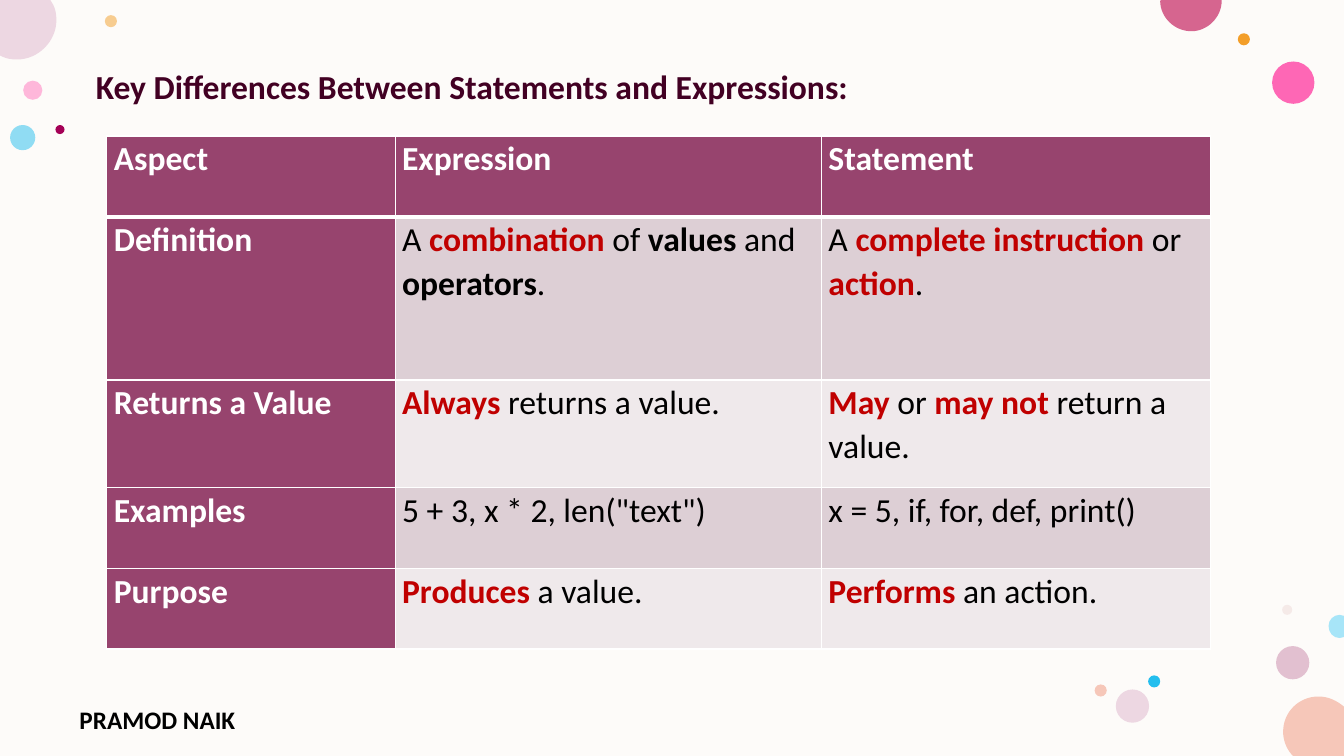
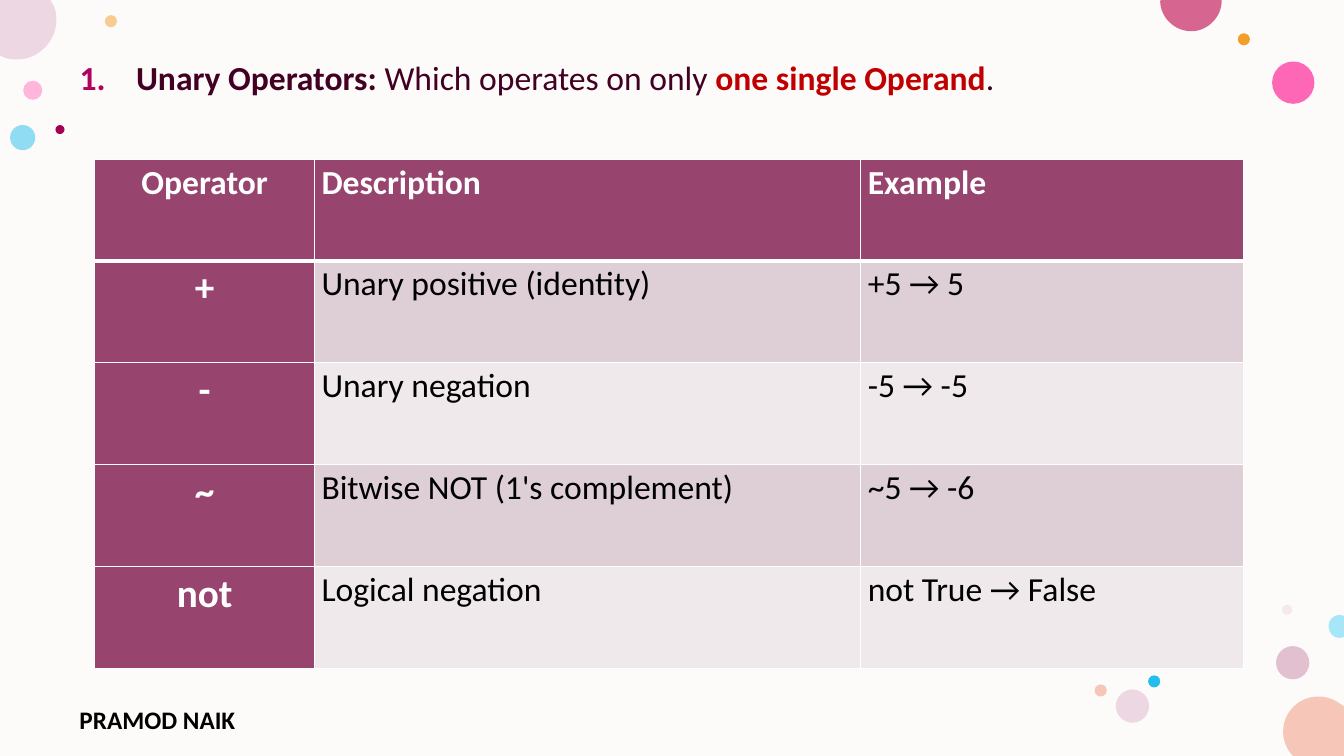
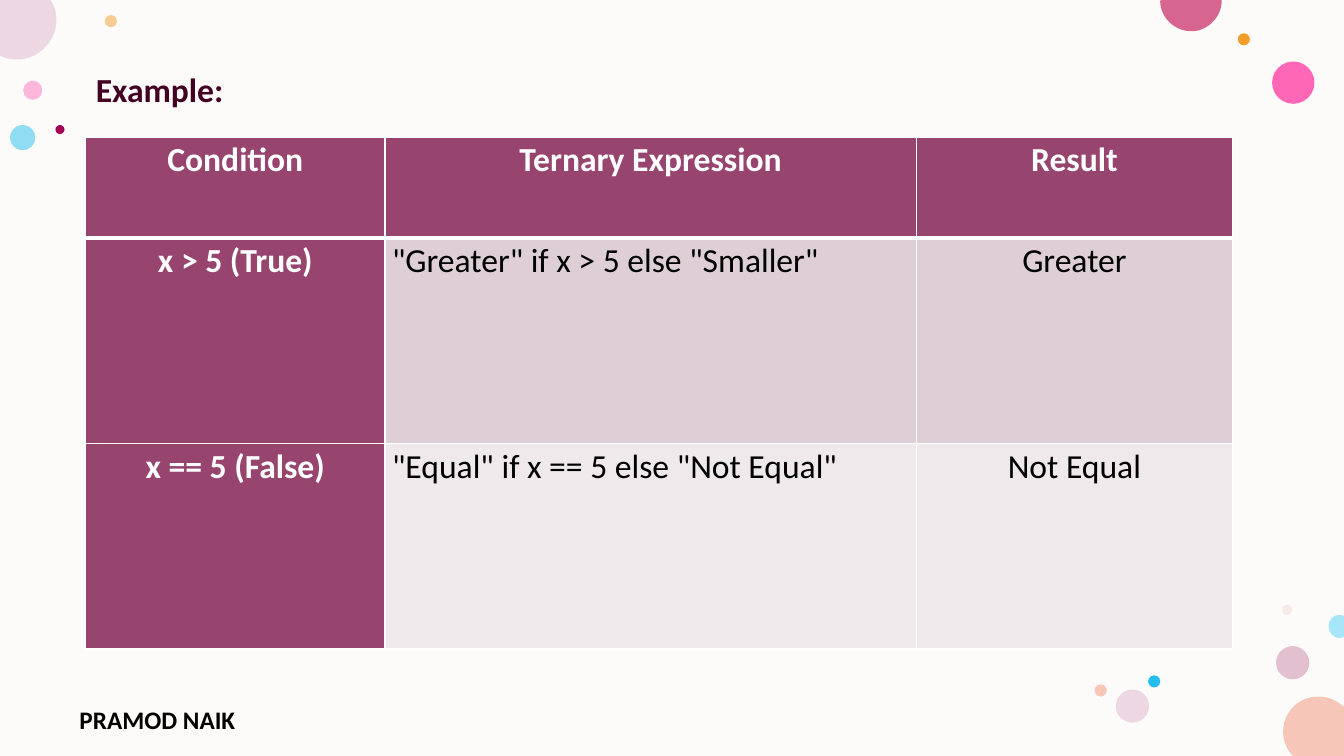
from lxml import etree
from pptx import Presentation
from pptx.dml.color import RGBColor
from pptx.enum import shapes, text
from pptx.oxml import ns
from pptx.util import Inches, Pt

SLIDE_W, SLIDE_H = 40 / 3, 7.5
FONT = "Calibri"
AUTHOR = "PRAMOD NAIK"

PAPER = RGBColor(0xFD, 0xFB, 0xF9)
INK = RGBColor(0x42, 0x00, 0x23)
NUMBER = RGBColor(0xB1, 0x00, 0x5E)
RED = RGBColor(0xC0, 0x00, 0x00)
BLACK = RGBColor(0x00, 0x00, 0x00)
WHITE = RGBColor(0xFF, 0xFF, 0xFF)
PLUM = RGBColor(0x97, 0x44, 0x6E)
BANDS = RGBColor(0xDD, 0xCF, 0xD5), RGBColor(0xEF, 0xE9, 0xEB)
PINK = RGBColor(0xFF, 0x75, 0xBD)
HOT_PINK = RGBColor(0xFF, 0x2F, 0x9C)
ORANGE = RGBColor(0xF3, 0x9E, 0x29)
MAUVE = RGBColor(0xC9, 0x87, 0xA8)
BLUE = RGBColor(0x24, 0xBE, 0xEE)
PALE_BLUE = RGBColor(0xA7, 0xE5, 0xF8)
DUSTY = RGBColor(0xE3, 0xBE, 0xBE)
LILAC = RGBColor(0xED, 0xD7, 0xE2)
PEACH = RGBColor(0xF6, 0xC7, 0xB9)
ROSE = RGBColor(0xD6, 0x65, 0x8F)
BERRY = RGBColor(0xA4, 0x00, 0x56)

# left, top, diameter, colour, opacity in percent
DOTS = [
    (0.23, 0.8, 0.19, PINK, 50),
    (1.04, 0.15, 0.12, ORANGE, 50),
    (12.66, 6.41, 0.33, MAUVE, 50),
    (0.1, 1.24, 0.25, BLUE, 50),
    (12.62, 0.61, 0.42, HOT_PINK, 72),
    (12.28, 0.33, 0.12, ORANGE, 100),
    (12.72, 6, 0.1, DUSTY, 28),
    (11.39, 6.7, 0.12, BLUE, 100),
    (11.07, 6.84, 0.33, LILAC, 100),
    (10.86, 6.79, 0.12, PEACH, 100),
    (0.55, 1.24, 0.09, BERRY, 100),
]
# Circles cut by the slide's edges: colour, start, then steps.
# A step of one point is a line, a step of three is a Bézier curve.
EDGE_DOTS = [
    (PEACH, (13.08, 6.91), [
        [(13.18, 6.91), (13.26, 6.95), (SLIDE_W, 7.01)],
        [(SLIDE_W, SLIDE_H)], [(12.83, SLIDE_H)], [(12.81, 7.48)],
        [(12.76, 7.42), (12.73, 7.34), (12.73, 7.26)],
        [(12.73, 7.06), (12.89, 6.91), (13.08, 6.91)]]),
    (LILAC, (0, 0), [
        [(0.5, 0)], [(0.53, 0.05)],
        [(0.55, 0.09), (0.56, 0.14), (0.56, 0.2)],
        [(0.56, 0.41), (0.38, 0.59), (0.17, 0.59)],
        [(0.11, 0.59), (0.06, 0.58), (0.02, 0.56)], [(0, 0.55)]]),
    (ROSE, (11.52, 0), [
        [(12.12, 0)], [(12.12, 0.01)],
        [(12.12, 0.17), (11.98, 0.31), (11.82, 0.31)],
        [(11.65, 0.31), (11.51, 0.17), (11.51, 0.01)]]),
    (PALE_BLUE, (13.29, 6.1), [
        [(SLIDE_W, 6.11)], [(SLIDE_W, 6.32)], [(13.29, 6.33)],
        [(13.23, 6.33), (13.18, 6.28), (13.18, 6.21)],
        [(13.18, 6.15), (13.23, 6.1), (13.29, 6.1)]]),
]

# Text is a string in the default style, or a list mixing strings and (text, style)
KEY = (RED, True)
STRONG = (BLACK, True)
HEAD = (WHITE, True)
BODY = (BLACK, False)
TITLE = (INK, True)
TITLE_LIGHT = (INK, False)

SLIDES = [
    dict(
        title="Key Differences Between Statements and Expressions:",
        title_at=(0.85, 0.65),
        table_at=(1.06, 1.35),
        cols=[2.86, 4.23, 3.86],
        heights=[0.8, 1.62, 1.07, 0.8, 0.8],
        rows=[
            ["Aspect", "Expression", "Statement"],
            ["Definition",
             ["A ", ("combination", KEY), " of ", ("values", STRONG), " and ",
              ("operators", STRONG), "."],
             ["A ", ("complete instruction ", KEY), "or ", ("action", KEY), "."]],
            ["Returns a Value",
             [("Always", KEY), " returns a value."],
             [("May", KEY), " or ", ("may not", KEY), " return a value."]],
            ["Examples", '5 + 3, x * 2, len("text")', "x = 5, if, for, def, print()"],
            ["Purpose",
             [("Produces", KEY), " a value."],
             [("Performs", KEY), " an action."]],
        ],
    ),
    dict(
        title=["Unary Operators: ", ("Which operates on only ", TITLE_LIGHT),
               ("one single Operand", KEY), (".", TITLE_LIGHT)],
        title_at=(0.69, 0.56),
        numbered=True,
        table_at=(0.94, 1.58),
        cols=[2.18, 5.42, 3.8],
        heights=[1.01] * 5,
        head_centred={0},
        body_centred={0},
        key_size=28,
        rows=[
            ["Operator", "Description", "Example"],
            ["+", "Unary positive (identity)", "+5 → 5"],
            ["-", "Unary negation", "-5 → -5"],
            ["~", "Bitwise NOT (1's complement)", "~5 → -6"],
            ["not", "Logical negation", "not True → False"],
        ],
    ),
    dict(
        title="Example:",
        title_at=(0.85, 0.68),
        table_at=(0.85, 1.36),
        cols=[2.97, 5.27, 3.14],
        heights=[1, 2.04, 2.04],
        head_centred={0, 1, 2},
        body_centred={0, 2},
        rows=[
            ["Condition", "Ternary Expression", "Result"],
            ["x > 5 (True)", '"Greater" if x > 5 else "Smaller"', "Greater"],
            ["x == 5 (False)", '"Equal" if x == 5 else "Not Equal"', "Not Equal"],
        ],
    ),
]


def add_xml(parent, tag, **attrs):
    return etree.SubElement(parent, ns.qn(tag), {k: str(v) for k, v in attrs.items()})


def write(p, content, style, size):
    """Fill a paragraph with runs, each in the given style or its own."""
    p.font.name, p.font.size = FONT, Pt(size)
    for part in [content] if isinstance(content, str) else content:
        words, (color, bold) = (part, style) if isinstance(part, str) else part
        r = p.add_run()
        r.text = words
        r.font.color.rgb, r.font.bold = color, bold


def paint(sp, color, opacity=100):
    sp.shadow.inherit = False
    sp.fill.solid()
    sp.fill.fore_color.rgb = color
    sp.line.fill.background()
    if opacity < 100:
        srgb = sp.element.spPr.find(ns.qn("a:solidFill"))[0]
        add_xml(srgb, "a:alpha", val=opacity * 1000)


def add_edge_dot(slide, color, start, steps):
    """Build the outline from lines, then join three lines into each curve."""
    builder = slide.shapes.build_freeform(*map(Inches, start))
    builder.add_line_segments([tuple(map(Inches, pt)) for step in steps for pt in step])
    sp = builder.convert_to_shape()
    lines = iter(list(sp.element.spPr.iter(ns.qn("a:lnTo"))))
    for step in steps:
        group = [next(lines) for _ in step]
        if len(group) == 3:
            curve = etree.Element(ns.qn("a:cubicBezTo"))
            group[0].addprevious(curve)
            for line in group:
                curve.append(line[0])
                line.getparent().remove(line)
    paint(sp, color)


def decorate_layout(layout, slide):
    """Draw background, dots and footer on the slide, then move them to its layout."""
    for ph in list(layout.placeholders):
        if ph.placeholder_format.type != shapes.PP_PLACEHOLDER.TITLE:
            layout.shapes.element.remove(ph.element)

    paper = slide.shapes.add_shape(
        shapes.MSO_SHAPE.RECTANGLE, 0, 0, Inches(SLIDE_W), Inches(SLIDE_H))
    paint(paper, PAPER)
    for left, top, size, color, opacity in DOTS:
        box = [Inches(v) for v in (left, top, size, size)]
        paint(slide.shapes.add_shape(shapes.MSO_SHAPE.OVAL, *box), color, opacity)
    for dot in EDGE_DOTS:
        add_edge_dot(slide, *dot)
    footer = slide.shapes.add_textbox(Inches(0.69), Inches(6.94), Inches(2.45), Inches(0.32))
    footer.text_frame.word_wrap = True
    write(footer.text_frame.paragraphs[0], AUTHOR, STRONG, 18)

    for sp in list(slide.shapes):
        if not sp.is_placeholder:
            layout.shapes.element.append(sp.element)


def set_title(slide, content, at, numbered):
    sp = slide.shapes.title
    sp.left, sp.top = (Inches(v) for v in at)
    sp.width, sp.height = Inches(11.66), Inches(0.5)
    tf = sp.text_frame
    tf.word_wrap, tf.auto_size = True, text.MSO_AUTO_SIZE.NONE
    tf.vertical_anchor = text.MSO_ANCHOR.TOP
    p = tf.paragraphs[0]
    p.alignment, p.line_spacing = text.PP_ALIGN.LEFT, 0.9
    if numbered:
        pPr = p._p.get_or_add_pPr()
        pPr.set("marL", str(Inches(0.56)))
        pPr.set("indent", str(-Inches(0.56)))
        add_xml(add_xml(pPr, "a:buClr"), "a:srgbClr", val=NUMBER)
        add_xml(pPr, "a:buFont", typeface="+mj-lt")
        add_xml(pPr, "a:buAutoNum", type="arabicPeriod")
    write(p, content, TITLE, 24)


def set_borders(cell, bottom):
    tcPr = cell._tc.get_or_add_tcPr()
    for side, width in zip("LRTB", (1, 1, 1, bottom)):
        ln = add_xml(tcPr, f"a:ln{side}", w=Pt(width))
        add_xml(add_xml(ln, "a:solidFill"), "a:srgbClr", val=WHITE)


def add_grid(slide, at, cols, heights, rows, head_centred, body_centred, key_size):
    box = [Inches(v) for v in (*at, sum(cols), sum(heights))]
    table = slide.shapes.add_table(len(rows), len(cols), *box).table
    for col, width in zip(table.columns, cols):
        col.width = Inches(width)
    for i, (height, row) in enumerate(zip(heights, rows)):
        table.rows[i].height = Inches(height)
        centred = body_centred if i else head_centred
        for j, content in enumerate(row):
            cell = table.cell(i, j)
            is_head = i == 0 or j == 0
            set_borders(cell, bottom=1 if i else 3)
            cell.fill.solid()
            cell.fill.fore_color.rgb = PLUM if is_head else BANDS[(i - 1) % 2]
            cell.margin_left = cell.margin_right = Inches(0.07)
            cell.margin_top = cell.margin_bottom = 0
            p = cell.text_frame.paragraphs[0]
            p.alignment = text.PP_ALIGN.CENTER if j in centred else text.PP_ALIGN.LEFT
            p.line_spacing, p.space_after = 1.07, Pt(8)
            size = key_size if i > 0 and j == 0 else 24
            write(p, content, HEAD if is_head else BODY, size)


def main():
    prs = Presentation()
    prs.slide_width, prs.slide_height = Inches(SLIDE_W), Inches(SLIDE_H)
    layout = prs.slide_layouts.get_by_name("Title Only")
    for i, page in enumerate(SLIDES):
        slide = prs.slides.add_slide(layout)
        if i == 0:
            decorate_layout(layout, slide)
        set_title(slide, page["title"], page["title_at"], page.get("numbered", False))
        add_grid(slide, page["table_at"], page["cols"], page["heights"], page["rows"],
                 page.get("head_centred", set()), page.get("body_centred", set()),
                 page.get("key_size", 24))
    prs.save("out.pptx")


if __name__ == "__main__":
    main()
